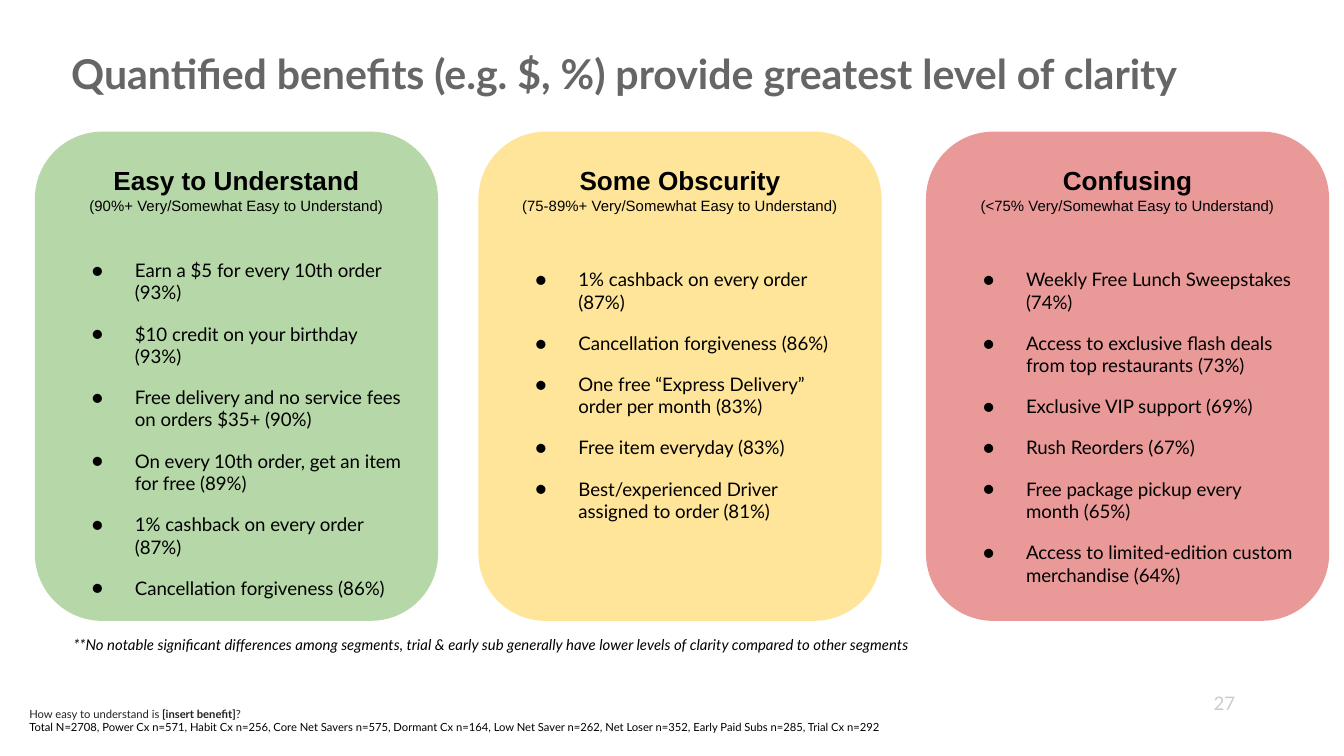
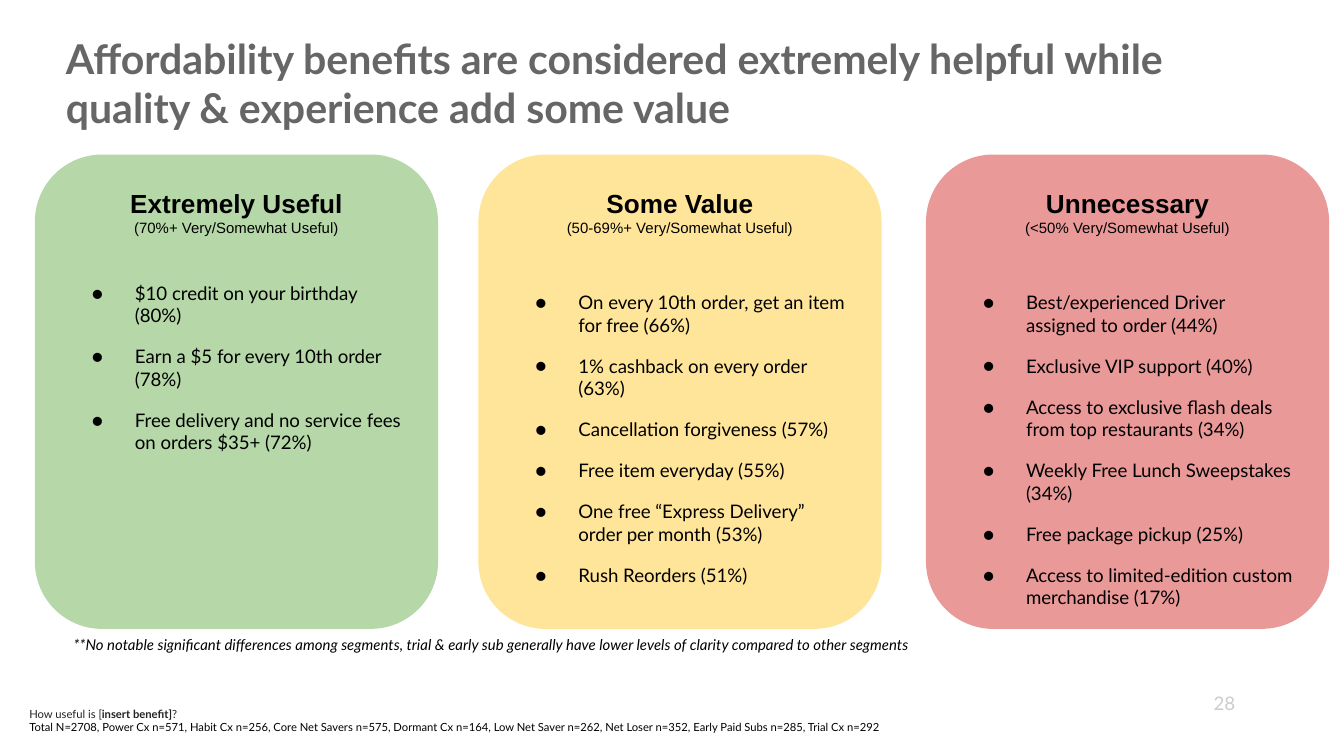
"""Build two slides that sort customer benefits into three rated cards."""
from dataclasses import dataclass

from lxml import etree
from pptx import Presentation
from pptx.dml.color import RGBColor
from pptx.enum.shapes import MSO_SHAPE
from pptx.enum.text import MSO_ANCHOR, MSO_AUTO_SIZE, PP_ALIGN
from pptx.oxml.ns import qn
from pptx.util import Inches, Pt

ROUND = MSO_SHAPE.ROUNDED_RECTANGLE
TOP, MIDDLE = MSO_ANCHOR.TOP, MSO_ANCHOR.MIDDLE
LEFT, CENTER, RIGHT = PP_ALIGN.LEFT, PP_ALIGN.CENTER, PP_ALIGN.RIGHT
NO_FIT = MSO_AUTO_SIZE.NONE


@dataclass(frozen=True)
class Theme:
    """Colours, fonts and type sizes."""
    body: str = "Lato"
    head: str = "Arial"
    ink: str = "000000"
    title: str = "666666"
    ask: str = "222222"
    pale: str = "CCCCCC"
    cards: tuple = ("B6D7A8", "FFE599", "EA9999")
    title_pt: int = 22
    head_pt: int = 14
    text_pt: int = 10
    note_pt: int = 8
    base_pt: int = 6


THEME = Theme()
FIRST = 27
NOTE = ("**No notable significant differences among segments, trial & early sub "
        "generally have lower levels of clarity compared to other segments")
BASE = ("Total N=2708, Power Cx n=571, Habit Cx n=256, Core Net Savers n=575, "
        "Dormant Cx n=164, Low Net Saver n=262, Net Loser n=352, "
        "Early Paid Subs n=285, Trial Cx n=292")
SLIDES = [
    {
        "title": "Quantified benefits (e.g. $, %) provide greatest level of clarity",
        "spot": (0.43, 0.26),
        "top": 0.98,
        "height": 3.64,
        "ask": ("How easy to understand is ", "[insert benefit]", "?"),
        "cards": [
            ("Easy to Understand", "(90%+ Very/Somewhat Easy to Understand)", [
                "Earn a $5 for every 10th order (93%)",
                "$10 credit on your birthday (93%)",
                "Free delivery and no service fees on orders $35+ (90%)",
                "On every 10th order, get an item for free (89%)",
                "1% cashback on every order (87%)",
                "Cancellation forgiveness (86%)",
            ]),
            ("Some Obscurity", "(75-89%+ Very/Somewhat Easy to Understand)", [
                "1% cashback on every order (87%)",
                "Cancellation forgiveness (86%)",
                "One free “Express Delivery” order per month (83%)",
                "Free item everyday (83%)",
                "Best/experienced Driver assigned to order (81%)",
            ]),
            ("Confusing", "(<75% Very/Somewhat Easy to Understand)", [
                "Weekly Free Lunch Sweepstakes (74%)",
                "Access to exclusive flash deals from top restaurants (73%)",
                "Exclusive VIP support (69%)",
                "Rush Reorders (67%)",
                "Free package pickup every month (65%)",
                "Access to limited-edition custom merchandise (64%)",
            ]),
        ],
    },
    {
        "title": "Affordability benefits are considered extremely helpful while "
                 "quality & experience add some value",
        "spot": (0.39, 0.15),
        "top": 1.15,
        "height": 3.53,
        "ask": ("How useful is [", "insert benefit]", "?"),
        "cards": [
            ("Extremely Useful", "(70%+ Very/Somewhat Useful)", [
                "$10 credit on your birthday (80%)",
                "Earn a $5 for every 10th order (78%)",
                "Free delivery and no service fees on orders $35+ (72%)",
            ]),
            ("Some Value", "(50-69%+ Very/Somewhat Useful)", [
                "On every 10th order, get an item for free (66%)",
                "1% cashback on every order (63%)",
                "Cancellation forgiveness (57%)",
                "Free item everyday (55%)",
                "One free “Express Delivery” order per month (53%)",
                "Rush Reorders (51%)",
            ]),
            ("Unnecessary", "(<50% Very/Somewhat Useful)", [
                "Best/experienced Driver assigned to order (44%)",
                "Exclusive VIP support (40%)",
                "Access to exclusive flash deals from top restaurants (34%)",
                "Weekly Free Lunch Sweepstakes (34%)",
                "Free package pickup (25%)",
                "Access to limited-edition custom merchandise (17%)",
            ]),
        ],
    },
]
CARD_X = (0.26, 3.56, 6.89)
CARD_W = 3
LIST_GAPS = (24, 29, 29)
ITEM_GAP = 10


def set_frame(shape, anchor=TOP):
    """Give a shape's text even insets and return its frame."""
    frame = shape.text_frame
    frame.word_wrap = True
    frame.auto_size = NO_FIT
    frame.vertical_anchor = anchor
    frame.margin_left = frame.margin_right = Inches(0.1)
    frame.margin_top = frame.margin_bottom = Inches(0.1)
    return frame


def style(para, size, color=THEME.ink, name=THEME.body, bold=False,
          italic=False, align=LEFT):
    """Set the font and alignment of a paragraph."""
    para.alignment = align
    font = para.font
    font.name, font.size = name, Pt(size)
    font.bold, font.italic = bold, italic
    font.color.rgb = RGBColor.from_string(color)


def add_text(slide, box, text, size, anchor=TOP, **look):
    """Add a text box with one styled paragraph and return its frame."""
    frame = set_frame(slide.shapes.add_textbox(*map(Inches, box)), anchor)
    para = frame.paragraphs[0]
    para.text = text
    style(para, size, **look)
    return frame


def add_bullet(para):
    """Give a paragraph a hanging round bullet."""
    props = para._p.get_or_add_pPr()
    props.set("marL", str(Inches(0.5)))
    props.set("indent", str(Inches(-0.32)))
    color = etree.SubElement(props, qn("a:buClr"))
    etree.SubElement(color, qn("a:srgbClr")).set("val", THEME.ink)
    etree.SubElement(props, qn("a:buSzPts")).set("val", str(THEME.text_pt * 100))
    etree.SubElement(props, qn("a:buFont")).set("typeface", THEME.body)
    etree.SubElement(props, qn("a:buChar")).set("char", "●")


def add_card(slide, box, fill, gap, card):
    """Add a rounded card with a heading, a range and a list."""
    head, scope, items = card
    shape = slide.shapes.add_shape(ROUND, *map(Inches, box))
    shape.shadow.inherit = False
    shape.fill.solid()
    shape.fill.fore_color.rgb = RGBColor.from_string(fill)
    shape.line.fill.background()
    frame = set_frame(shape)
    para = frame.paragraphs[0]
    para.text = head
    style(para, THEME.head_pt, name=THEME.head, bold=True, align=CENTER)
    para = frame.add_paragraph()
    para.text = scope
    style(para, THEME.note_pt, name=THEME.head, align=CENTER)
    for i, item in enumerate(items):
        para = frame.add_paragraph()
        para.text = item
        add_bullet(para)
        para.space_before = Pt(ITEM_GAP if i else gap)
        style(para, THEME.text_pt)


def add_title(slide, spot, text):
    """Place and style the title."""
    title = slide.shapes.title
    title.left, title.top = map(Inches, spot)
    title.width, title.height = Inches(8.81), Inches(0.57)
    para = set_frame(title).paragraphs[0]
    para.text = text
    style(para, THEME.title_pt, THEME.title, bold=True)


def add_foot(slide, ask, page):
    """Add the note, the survey question with its base, and the page number."""
    add_text(slide, (0.45, 4.63, 7.95, 0.34), NOTE, THEME.note_pt, italic=True)
    frame = add_text(slide, (0.12, 5.16, 8.08, 0.4), "", THEME.base_pt,
                     color=THEME.ask)
    for i, part in enumerate(ask):
        run = frame.paragraphs[0].add_run()
        run.text = part
        run.font.bold = i == 1
    para = frame.add_paragraph()
    para.text = BASE
    style(para, THEME.base_pt)
    add_text(slide, (8.69, 5.02, 0.6, 0.43), str(page), THEME.text_pt, MIDDLE,
             color=THEME.pale, align=RIGHT)


def main():
    """Build and save the deck."""
    deck = Presentation()
    deck.slide_width = Inches(10)
    deck.slide_height = deck.slide_width * 9 // 16
    for page, data in enumerate(SLIDES, FIRST):
        slide = deck.slides.add_slide(deck.slide_layouts[5])
        add_title(slide, data["spot"], data["title"])
        for x, fill, gap, card in zip(CARD_X, THEME.cards, LIST_GAPS, data["cards"]):
            add_card(slide, (x, data["top"], CARD_W, data["height"]), fill, gap, card)
        add_foot(slide, data["ask"], page)
    deck.save("out.pptx")


if __name__ == "__main__":
    main()
